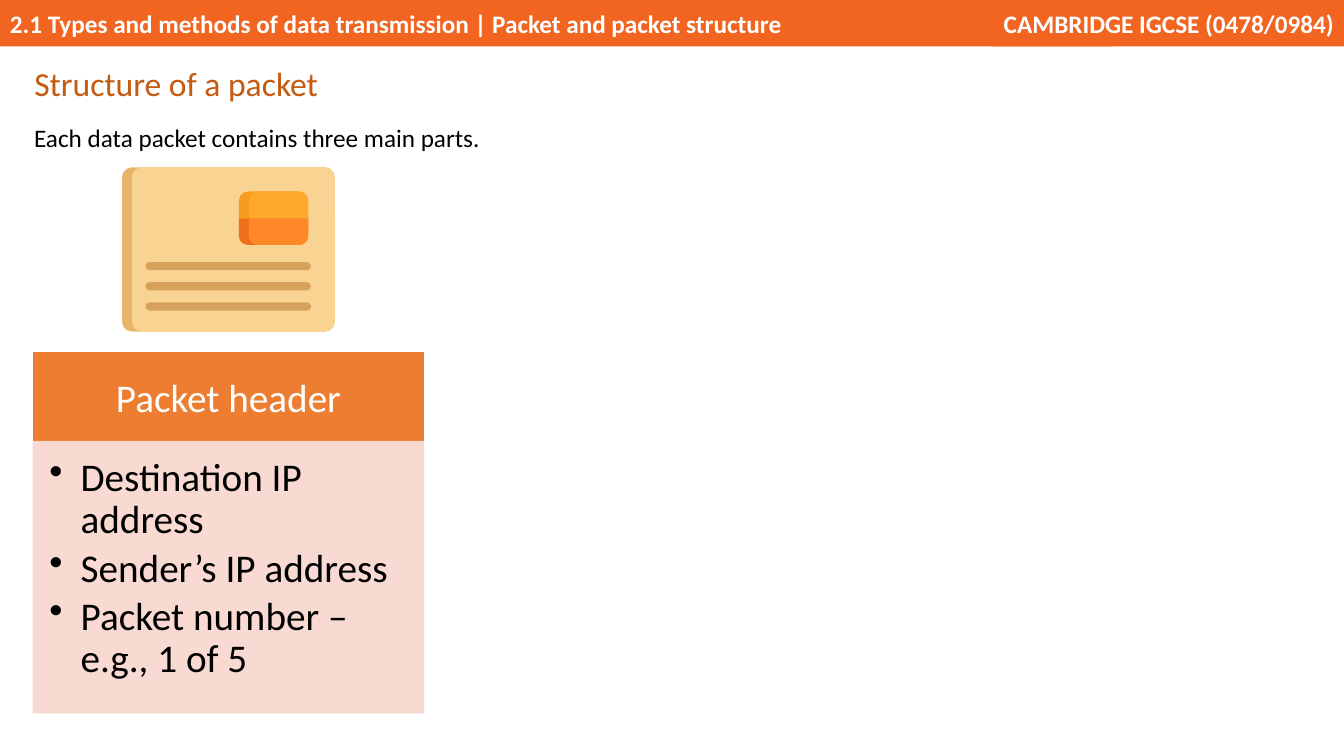
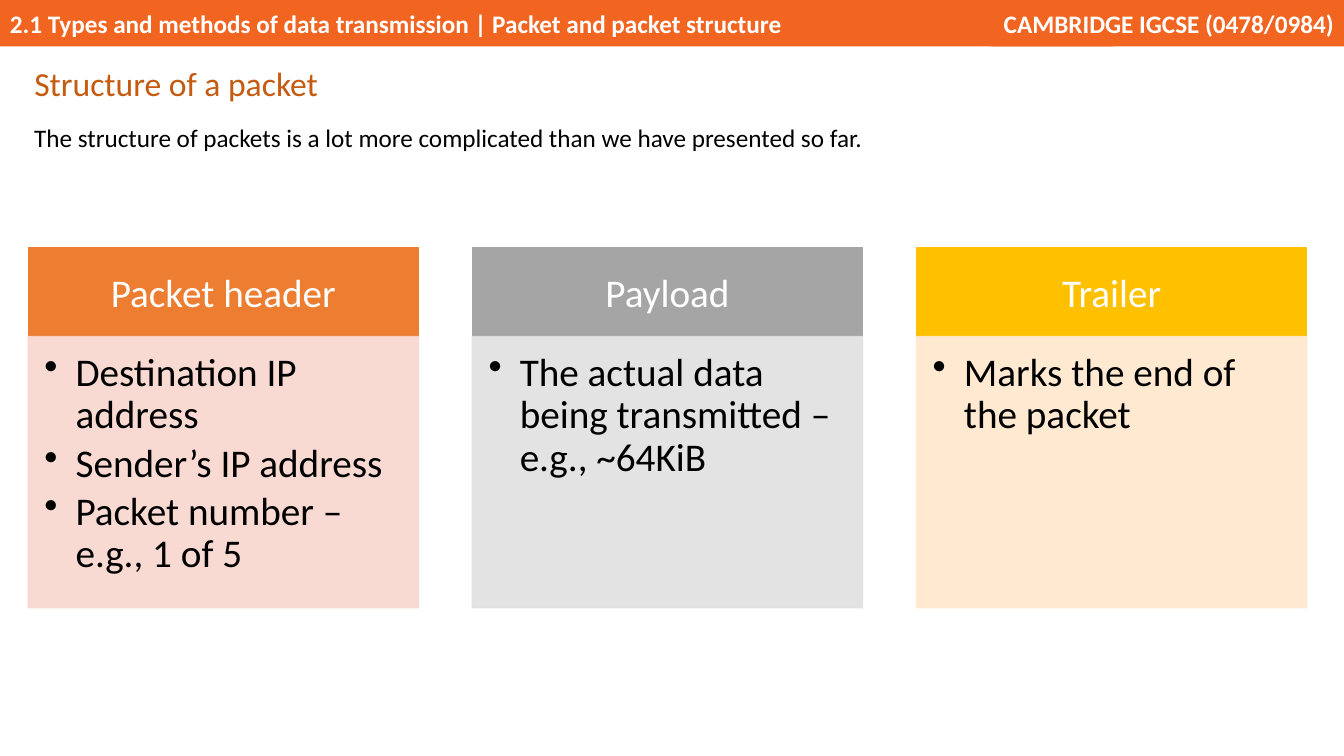
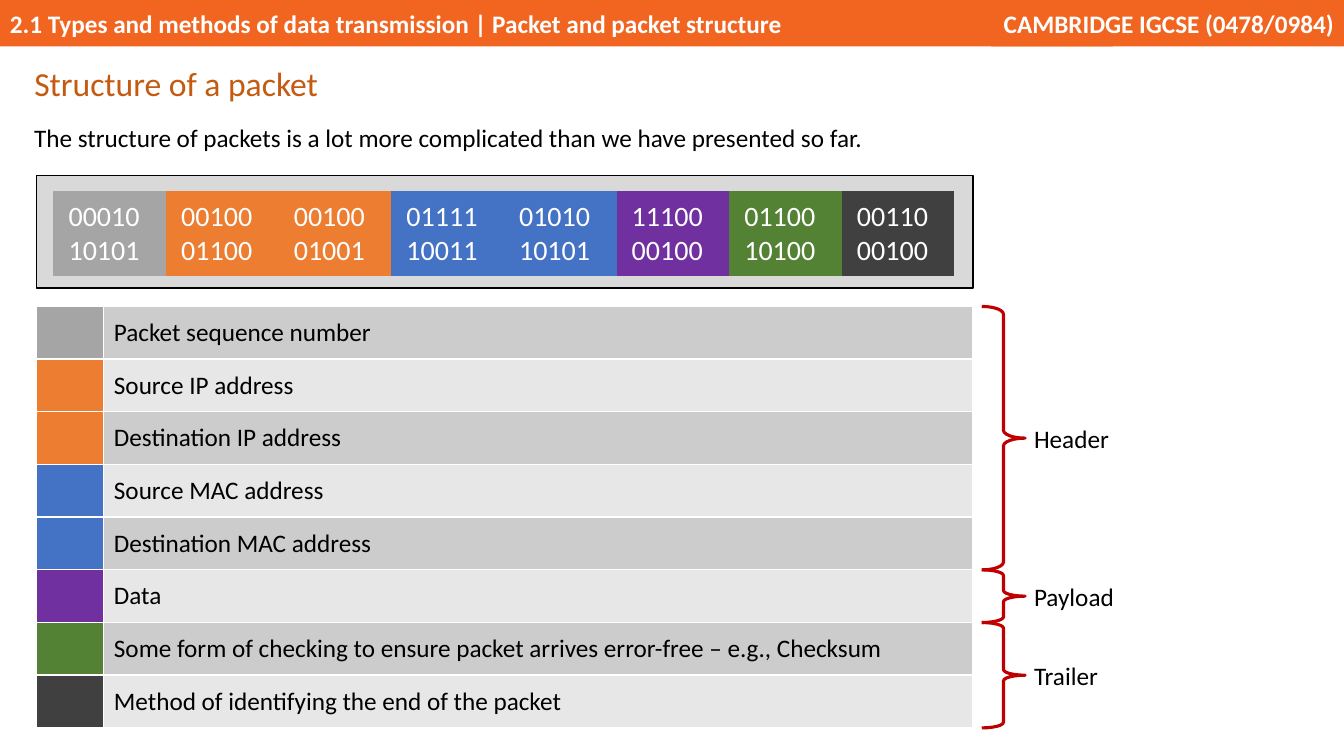
import lxml.etree
import pptx
import pptx.dml.color
import pptx.enum.shapes
import pptx.enum.text
import pptx.oxml.ns
import pptx.util

PRESET = pptx.enum.shapes.MSO_SHAPE
ALIGN = pptx.enum.text.PP_ALIGN
ANCHOR = pptx.enum.text.MSO_ANCHOR
rgb = pptx.dml.color.RGBColor.from_string
qn = pptx.oxml.ns.qn
SubElement = lxml.etree.SubElement

# Colours
BAND, TITLE, BRACE = "F26521", "C55A11", "C00000"
WHITE, BLACK = "FFFFFF", "000000"
ORANGE, GREY, YELLOW = "ED7D31", "A5A5A5", "FFC000"
BLUE, PURPLE, GREEN, CHARCOAL = "4472C4", "7030A0", "548235", "404040"

# Slide size, divided into a grid of 100 columns by 100 rows
deck = pptx.Presentation()
deck.slide_width = pptx.util.Emu(12192000)
deck.slide_height = pptx.util.Inches(7.5)
COL, ROW = deck.slide_width // 100, deck.slide_height // 100


def place(slide, preset, left, top, width, height, fill=None, line=None, weight=1):
    """Add a preset shape, measured in grid columns and rows."""
    shape = slide.shapes.add_shape(
        preset, int(left * COL), int(top * ROW), int(width * COL), int(height * ROW))
    shape.shadow.inherit = False
    if fill:
        shape.fill.solid()
        shape.fill.fore_color.rgb = rgb(fill)
    else:
        shape.fill.background()
    if line:
        shape.line.color.rgb = rgb(line)
        shape.line.width = pptx.util.Pt(weight)
    else:
        shape.line.fill.background()
    shape.text_frame.vertical_anchor = ANCHOR.TOP
    return shape


def write(frame, text, size, color, bold=False, align=ALIGN.LEFT, bullet=False):
    """Fill a text frame, one paragraph for each line of text."""
    frame.text = text
    for paragraph in frame.paragraphs:
        if bullet:
            properties = paragraph._p.get_or_add_pPr()
            properties.set("marL", str(pptx.util.Inches(0.31)))
            properties.set("indent", str(-pptx.util.Inches(0.31)))
            SubElement(properties, qn("a:buChar"), char="•")
            paragraph.line_spacing = 0.9
            paragraph.space_after = pptx.util.Pt(4.2)
        paragraph.alignment = align
        paragraph.font.name = "Calibri"
        paragraph.font.size = pptx.util.Pt(size)
        paragraph.font.bold = bold
        paragraph.font.color.rgb = rgb(color)


# Slides with title and introduction
title_only = deck.slide_layouts[5]
complicated = "The structure of packets is a lot more complicated than we have presented so far."
slides = []
for intro in ["Each data packet contains three main parts.", complicated, complicated]:
    slide = deck.slides.add_slide(title_only)
    slides.append(slide)
    title = slide.shapes.title
    title.left, title.top = int(1.8 * COL), int(7.33 * ROW)
    title.width, title.height = int(23.7 * COL), int(6.8 * ROW)
    title.text_frame.auto_size = pptx.enum.text.MSO_AUTO_SIZE.NONE
    title.text_frame.vertical_anchor = ANCHOR.TOP
    write(title.text_frame, "Structure of a packet", 24, TITLE)
    title.text_frame.paragraphs[0].line_spacing = 1.07
    intro_box = place(slide, PRESET.RECTANGLE, 1.8, 15.47, 95.7, 5.33)
    write(intro_box.text_frame, intro, 18, BLACK)
parts_slide, summary_slide, detail_slide = slides

# Heading band, moved to the layout that all slides share
bands = [
    (0, 82.8, ALIGN.LEFT,
     "2.1 Types and methods of data transmission | Packet and packet structure"),
    (73.75, 26.25, ALIGN.RIGHT, "CAMBRIDGE IGCSE (0478/0984)"),
]
for number, (left, width, align, heading) in enumerate(bands):
    band = place(parts_slide, PRESET.RECTANGLE, left, 0, width, 6.13, BAND)
    band.text_frame.vertical_anchor = ANCHOR.MIDDLE
    write(band.text_frame, heading, 18, WHITE, bold=True, align=align)
    band.element.nvSpPr.cNvPr.id = 20 + number
    title_only.shapes.element.append(band.element)

# Envelope: each front lies over a darker back, which shows as a spine
envelope = [
    (PRESET.ROUNDED_RECTANGLE, 9.08, 22.13, 15.83, 21.73, "E8B469", [0.06]),
    (PRESET.ROUNDED_RECTANGLE, 9.83, 22.13, 15.08, 21.73, "F9D391", [0.06]),
    (PRESET.ROUNDED_RECTANGLE, 17.78, 25.33, 5.15, 7.07, "F79B21", [0.17]),
    (PRESET.ROUNDED_RECTANGLE, 18.53, 25.33, 4.4, 7.07, "FFA92C", [0.17]),
    (PRESET.ROUND_2_SAME_RECTANGLE, 17.78, 28.93, 5.15, 3.47, "EF701B", [0, 0.34]),
    (PRESET.ROUND_2_SAME_RECTANGLE, 18.53, 28.93, 4.4, 3.47, "FF8828", [0, 0.34]),
]
for line_number in range(3):
    envelope.append((PRESET.ROUNDED_RECTANGLE, 10.83, 34.67 + 2.67 * line_number,
                     12.3, 1.07, "D6A15B", [0.5]))
for *outline, corners in envelope:
    piece = place(parts_slide, *outline)
    for index, corner in enumerate(corners):
        piece.adjustments[index] = corner

# Cards for the parts of a packet
CARD_WIDTH, CARD_STEP, HEAD_HEIGHT, BODY_HEIGHT = 29.03, 33.05, 11.73, 35.87
header_card = ("Packet header", ORANGE, "F8D7CE",
               "Destination IP address\nSender’s IP address\nPacket number – e.g., 1 of 5")
payload_card = ("Payload", GREY, "E1E1E1",
                "The actual data being transmitted – e.g., ~64KiB")
trailer_card = ("Trailer", YELLOW, "FFE8CC", "Marks the end of the packet")
card_rows = [
    (parts_slide, 2.48, 46.67, [header_card]),
    (summary_slide, 2.1, 32.8, [header_card, payload_card, trailer_card]),
]
for slide, first_left, top, cards in card_rows:
    for position, (part, strong, pale, points) in enumerate(cards):
        left = first_left + position * CARD_STEP
        head = place(slide, PRESET.RECTANGLE, left, top, CARD_WIDTH, HEAD_HEIGHT,
                     strong, strong)
        head.text_frame.vertical_anchor = ANCHOR.MIDDLE
        write(head.text_frame, part, 28, WHITE, align=ALIGN.CENTER)
        body = place(slide, PRESET.RECTANGLE, left, top + HEAD_HEIGHT, CARD_WIDTH,
                     BODY_HEIGHT, pale, pale)
        for tint in list(body.element.spPr.iter(qn("a:srgbClr"))):
            SubElement(tint, qn("a:alpha"), val="90000")
        frame = body.text_frame
        frame.margin_left = frame.margin_top = pptx.util.Inches(0.16)
        frame.margin_right = pptx.util.Inches(0.22)
        write(frame, points, 28, BLACK, bullet=True)

# Packet fields: bits, colour, meaning
fields = [
    ("0001010101", GREY, "Packet sequence number"),
    ("0010001100", ORANGE, "Source IP address"),
    ("0010001001", ORANGE, "Destination IP address"),
    ("0111110011", BLUE, "Source MAC address"),
    ("0101010101", BLUE, "Destination MAC address"),
    ("1110000100", PURPLE, "Data"),
    ("0110010100", GREEN,
     "Some form of checking to ensure packet arrives error-free – e.g., Checksum"),
    ("0011000100", CHARCOAL, "Method of identifying the end of the packet"),
]
KEY_LEFT, KEY_TOP, KEY_WIDTH, KEY_ROW, SWATCH = 2.7, 40.53, 69.7, 6.97, 5.03

# Bit strip in its frame, and the key below it
place(detail_slide, PRESET.RECTANGLE, KEY_LEFT, 23.2, KEY_WIDTH, 14.93, "D9D9D9", BLACK)
strip = detail_slide.shapes.add_table(
    1, len(fields), int(3.98 * COL), int(25.33 * ROW),
    int(67.05 * COL), int(10.93 * ROW)).table
key = detail_slide.shapes.add_table(
    len(fields), 2, int(KEY_LEFT * COL), int(KEY_TOP * ROW),
    int(KEY_WIDTH * COL), int(KEY_ROW * len(fields) * ROW)).table
key.columns[0].width = int(SWATCH * COL)
key.columns[1].width = int((KEY_WIDTH - SWATCH) * COL)

NO_STYLE = "{2D5ABB26-0587-4C30-8999-92F81FD0307C}"
for table in (strip, key):
    table.first_row = table.horz_banding = False
    table._tbl.tblPr.find(qn("a:tableStyleId")).text = NO_STYLE

# White rules between the cells of the key
for cell in key.iter_cells():
    for side in ("a:lnL", "a:lnR", "a:lnT", "a:lnB"):
        rule = SubElement(cell._tc.get_or_add_tcPr(), qn(side), w="12700")
        SubElement(SubElement(rule, qn("a:solidFill")), qn("a:srgbClr"), val=WHITE)

for index, (bits, color, meaning) in enumerate(fields):
    bits_cell, swatch, meaning_cell = strip.cell(0, index), key.cell(index, 0), key.cell(index, 1)
    stripe = "E7E7E7" if index % 2 else "CCCCCC"
    for cell, fill in ((bits_cell, color), (swatch, color), (meaning_cell, stripe)):
        cell.fill.solid()
        cell.fill.fore_color.rgb = rgb(fill)
    bits_cell.margin_left = bits_cell.margin_right = pptx.util.Inches(0.15)
    bits_cell.margin_top = bits_cell.margin_bottom = pptx.util.Inches(0.08)
    write(bits_cell.text_frame, bits, 20, WHITE)
    meaning_cell.vertical_anchor = ANCHOR.MIDDLE
    write(meaning_cell.text_frame, meaning, 18, BLACK)

# Braces that group the rows of the key
top = KEY_TOP
for part, row_count, curve in (("Header", 5, 0.18), ("Payload", 1, 0.13), ("Trailer", 2, 0.13)):
    height = row_count * KEY_ROW
    brace = place(detail_slide, PRESET.RIGHT_BRACE, 73.05, top, 3.23, height,
                  line=BRACE, weight=2.25)
    brace.adjustments[0] = curve
    label = place(detail_slide, PRESET.RECTANGLE, 76.2, top + height / 2 - 2.67, 11, 5.33)
    write(label.text_frame, part, 18, BLACK)
    top += height

deck.save("out.pptx")
